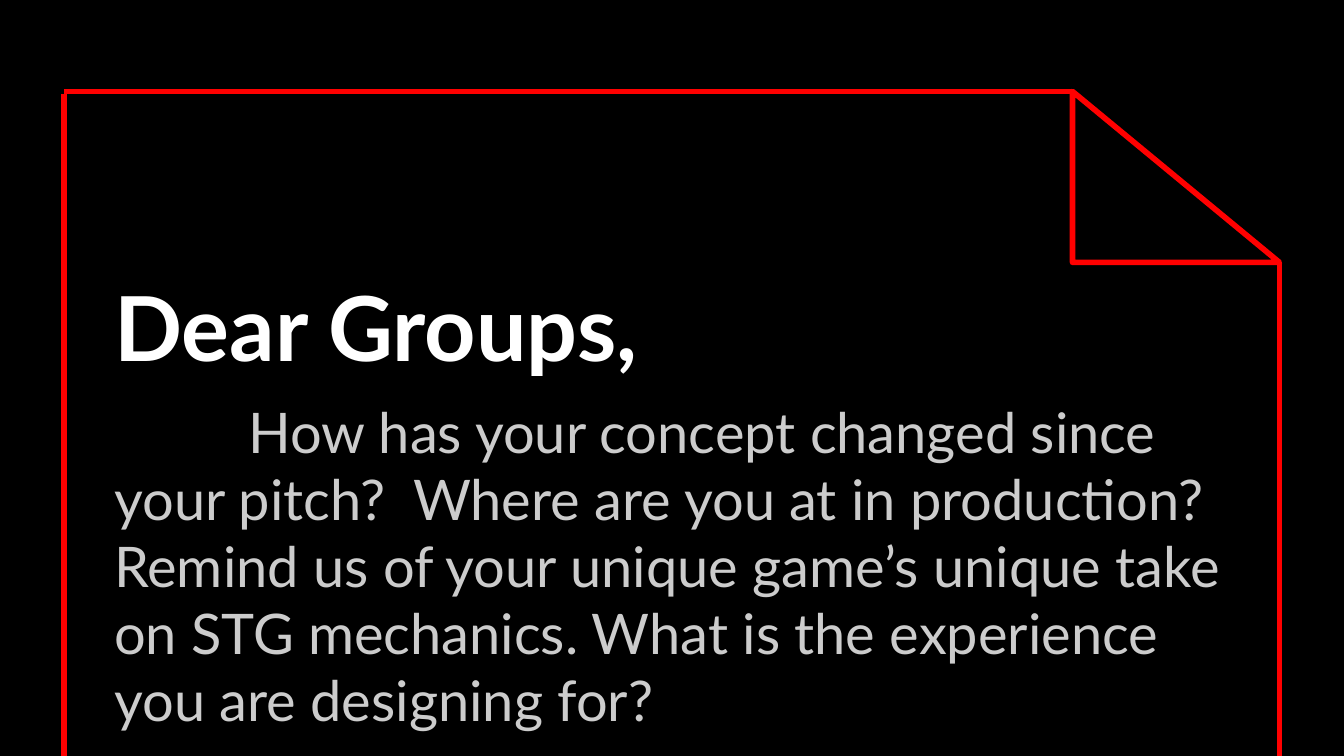
from dataclasses import dataclass

from lxml.etree import SubElement
from pptx import Presentation
from pptx.dml.color import RGBColor
from pptx.enum.shapes import MSO_CONNECTOR as Connector, MSO_SHAPE as Preset
from pptx.enum.text import MSO_ANCHOR as Anchor
from pptx.oxml.ns import qn
from pptx.util import Cm, Pt

PAGE_WIDTH, PAGE_HEIGHT = 25.4, 14.29
MARGIN, TEXT_WIDTH, TEXT_INSET = 1.91, 21.59, 0.25
FOLD_LEFT, FOLD_TOP, FOLD_WIDTH, FOLD_HEIGHT = 20.27, 1.73, 3.91, 3.23
PAPER_LEFT, PAPER_RIGHT = 1.21, FOLD_LEFT + FOLD_WIDTH
RED = "FF0000"


@dataclass(frozen=True)
class Passage:
    """A text box of the letter; lengths in centimetres, size in points."""
    wording: str
    top: float
    height: float
    size: int
    color: str
    bold: bool = False
    anchor: Anchor = Anchor.TOP
    first_indent: float = 0


@dataclass(frozen=True)
class Edge:
    x1: float
    y1: float
    x2: float
    y2: float


PASSAGES = [
    Passage("How has your concept changed since your pitch?  Where are you at in "
            "production?  Remind us of your unique game’s unique take on STG "
            "mechanics. What is the experience you are designing for?",
            top=7.26, height=6.4, size=30, color="CCCCCC", first_indent=2.54),
    Passage("Dear Groups,", top=4.19, height=3.23, size=48, color="FFFFFF",
            bold=True, anchor=Anchor.BOTTOM),
]
PAPER_EDGES = [
    Edge(FOLD_LEFT, FOLD_TOP, PAPER_LEFT, FOLD_TOP),
    Edge(PAPER_LEFT, FOLD_TOP + 0.05, PAPER_LEFT, PAGE_HEIGHT),
    Edge(PAPER_RIGHT, FOLD_TOP + FOLD_HEIGHT, PAPER_RIGHT, PAGE_HEIGHT),
]


def rgb(value: str) -> RGBColor:
    return RGBColor.from_string(value)


def style_outline(line) -> None:
    line.color.rgb = rgb(RED)
    line.width = Pt(3)


def draw_passage(slide, passage: Passage) -> None:
    box = slide.shapes.add_textbox(Cm(MARGIN), Cm(passage.top),
                                   Cm(TEXT_WIDTH), Cm(passage.height))
    frame = box.text_frame
    inset = Cm(TEXT_INSET)
    frame_format = {"word_wrap": True, "vertical_anchor": passage.anchor,
                    "margin_left": inset, "margin_right": inset,
                    "margin_top": inset, "margin_bottom": inset}
    for name, value in frame_format.items():
        setattr(frame, name, value)

    paragraph = frame.paragraphs[0]
    properties = paragraph._p.get_or_add_pPr()
    properties.set("marL", "0")
    properties.set("indent", str(Cm(passage.first_indent)))
    run = paragraph.add_run()
    run.text = passage.wording
    font_format = {"name": "Lato", "size": Pt(passage.size), "bold": passage.bold}
    for name, value in font_format.items():
        setattr(run.font, name, value)
    run.font.color.rgb = rgb(passage.color)


def draw_fold(slide) -> None:
    fold = slide.shapes.add_shape(Preset.RIGHT_TRIANGLE, Cm(FOLD_LEFT), Cm(FOLD_TOP),
                                  Cm(FOLD_WIDTH), Cm(FOLD_HEIGHT))
    fold.shadow.inherit = False
    fold.fill.background()
    style_outline(fold.line)


def draw_edge(slide, edge: Edge) -> None:
    connector = slide.shapes.add_connector(Connector.STRAIGHT, Cm(edge.x1), Cm(edge.y1),
                                           Cm(edge.x2), Cm(edge.y2))
    style_outline(connector.line)
    SubElement(connector._element.spPr, qn("a:effectLst"))


def main() -> None:
    deck = Presentation()
    deck.slide_width, deck.slide_height = Cm(PAGE_WIDTH), Cm(PAGE_HEIGHT)
    slide = deck.slides.add_slide(deck.slide_layouts[6])
    slide.background.fill.solid()
    slide.background.fill.fore_color.rgb = rgb("000000")
    for passage in PASSAGES:
        draw_passage(slide, passage)
    draw_fold(slide)
    for edge in PAPER_EDGES:
        draw_edge(slide, edge)
    deck.save("out.pptx")


if __name__ == "__main__":
    main()
